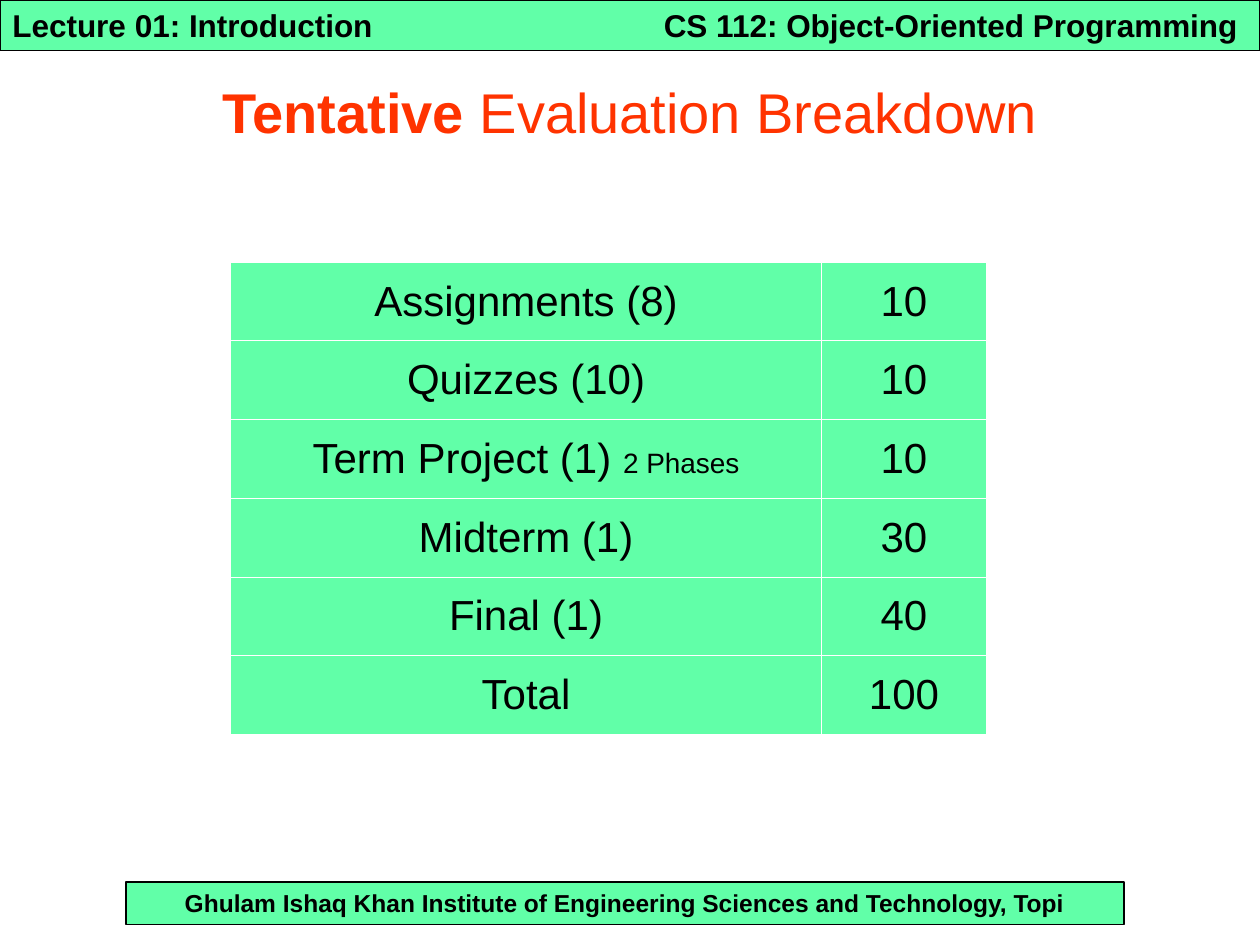
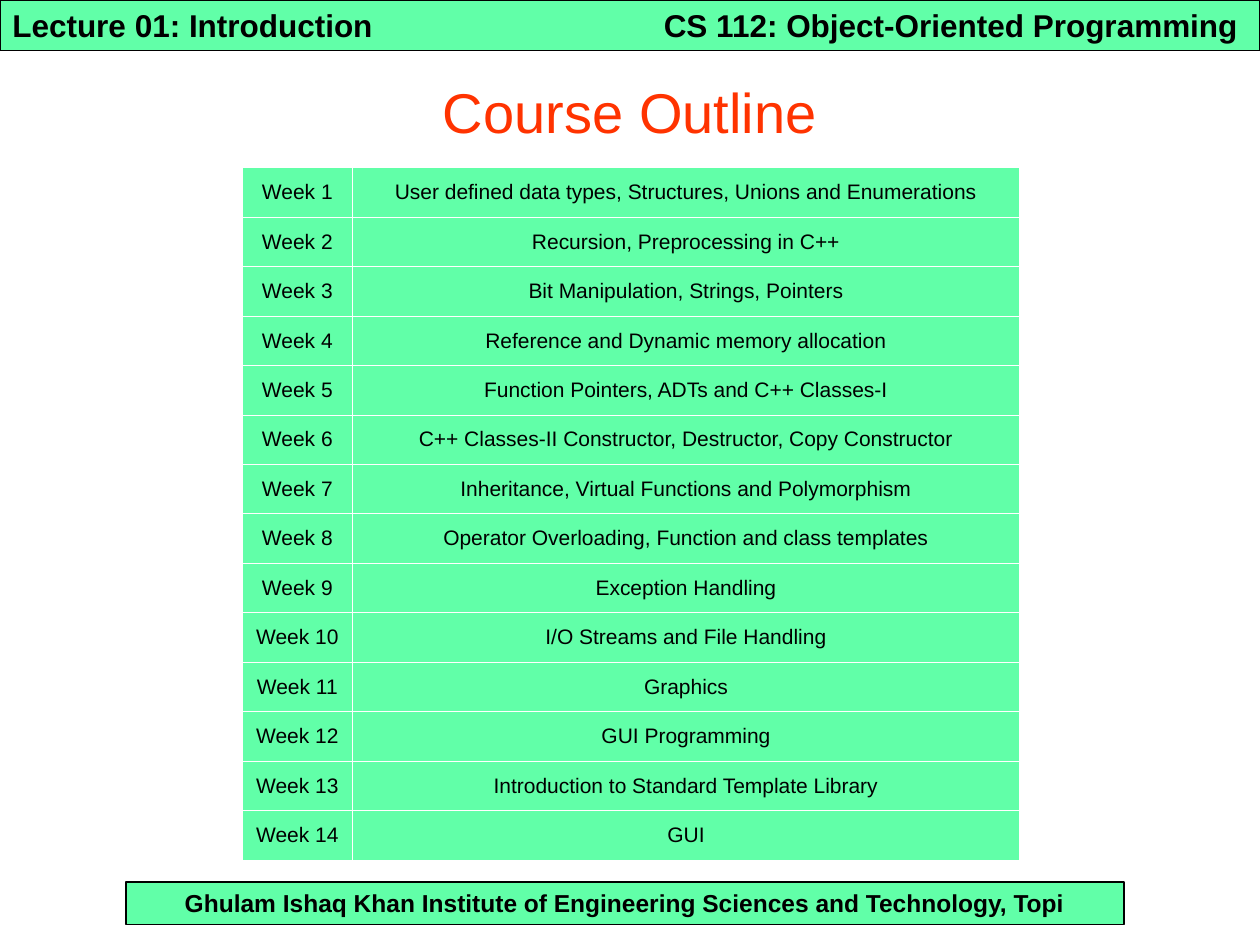
import pptx
import pptx.dml.color
import pptx.enum.shapes
import pptx.enum.text
import pptx.oxml
import pptx.oxml.ns
import pptx.util
from pptx.util import Inches

GREEN = pptx.dml.color.RGBColor(0x61, 0xFF, 0xA8)
RED = pptx.dml.color.RGBColor(0xFF, 0x33, 0x00)
BLACK = pptx.dml.color.RGBColor(0x00, 0x00, 0x00)
WHITE = pptx.dml.color.RGBColor(0xFF, 0xFF, 0xFF)
FONT = "Arial"
LEFT = pptx.enum.text.PP_ALIGN.LEFT
CENTER = pptx.enum.text.PP_ALIGN.CENTER
MIDDLE = pptx.enum.text.MSO_ANCHOR.MIDDLE
TITLE_ONLY = 5

# Shared bands: text, left, top, width, height, size, alignment, filled
BANDS = [
    ("Ghulam Ishaq Khan Institute of Engineering Sciences and Technology, Topi",
     1, 7, 7.92, 0.34, 14, CENTER, True),
    ("Lecture 01: Introduction", 0, 0, 10, 0.4, 18, LEFT, True),
    ("CS 112: Object-Oriented Programming", 5.17, 0, 4.83, 0.4, 18, LEFT, False),
]

# Slide contents; a cell is a list of (text, size) runs
EVALUATION = [
    ([("Assignments (8)", 24)], "10"),
    ([("Quizzes (10)", 24)], "10"),
    ([("Term Project (1) ", 24), ("2 Phases", 16)], "10"),
    ([("Midterm (1)", 24)], "30"),
    ([("Final (1)", 24)], "40"),
    ([("Total", 24)], "100"),
]
WEEK_TOPICS = [
    "User defined data types, Structures, Unions and Enumerations",
    "Recursion, Preprocessing in C++",
    "Bit Manipulation, Strings, Pointers",
    "Reference and Dynamic memory allocation",
    "Function Pointers, ADTs and C++ Classes-I",
    "C++ Classes-II Constructor, Destructor, Copy Constructor",
    "Inheritance, Virtual Functions and Polymorphism",
    "Operator Overloading, Function and class templates",
    "Exception Handling",
    "I/O Streams and File Handling",
    "Graphics",
    "GUI Programming",
    "Introduction to Standard Template Library",
    "GUI",
]
SLIDES = [
    {
        "title": [("Tentative", True), (" Evaluation Breakdown", False)],
        "rows": [[label, [(marks, 24)]] for label, marks in EVALUATION],
        "place": (1.83, 2.08, 6, 3.75),
        "columns": (4.69, 1.31),
    },
    {
        "title": [("Course Outline", False)],
        "rows": [[[(f"Week {week}", 12)], [(topic, 12)]]
                 for week, topic in enumerate(WEEK_TOPICS, 1)],
        "place": (1.92, 1.33, 6.17, 5.5),
        "columns": (0.88, 5.29),
    },
]


def add_run(paragraph, text, size, color=BLACK, bold=False):
    run = paragraph.add_run()
    run.text = text
    run.font.name = FONT
    run.font.size = pptx.util.Pt(size)
    run.font.bold = bold
    run.font.color.rgb = color


def add_borders(cell):
    for side in ("lnL", "lnR", "lnT", "lnB"):
        cell._tc.get_or_add_tcPr().append(pptx.oxml.parse_xml(
            f'<a:{side} {pptx.oxml.ns.nsdecls("a")} w="{pptx.util.Pt(0.45)}">'
            f'<a:solidFill><a:srgbClr val="{WHITE}"/></a:solidFill></a:{side}>'))


presentation = pptx.Presentation()
presentation.slide_width = Inches(10)
presentation.slide_height = Inches(7.5)

for content in SLIDES:
    slide = presentation.slides.add_slide(presentation.slide_layouts[TITLE_ONLY])

    # Header and footer bands
    for text, left, top, width, height, size, alignment, filled in BANDS:
        place = [Inches(length) for length in (left, top, width, height)]
        if filled:
            band = slide.shapes.add_shape(
                pptx.enum.shapes.MSO_SHAPE.RECTANGLE, *place)
            band.shadow.inherit = False
            band.fill.solid()
            band.fill.fore_color.rgb = GREEN
            band.line.color.rgb = BLACK
            band.line.width = pptx.util.Pt(0.75)
        else:
            band = slide.shapes.add_textbox(*place)
        band.text_frame.word_wrap = True
        band.text_frame.vertical_anchor = pptx.enum.text.MSO_ANCHOR.TOP
        paragraph = band.text_frame.paragraphs[0]
        paragraph.alignment = alignment
        add_run(paragraph, text, size, bold=True)

    # Title
    title = slide.shapes.title
    title.left, title.top = Inches(0), Inches(0.42)
    title.width, title.height = Inches(10), Inches(0.92)
    title.text_frame.vertical_anchor = MIDDLE
    paragraph = title.text_frame.paragraphs[0]
    paragraph.alignment = CENTER
    for text, bold in content["title"]:
        add_run(paragraph, text, 32, RED, bold)

    # Table with equal rows
    rows = content["rows"]
    place = [Inches(length) for length in content["place"]]
    table = slide.shapes.add_table(len(rows), 2, *place).table
    table.first_row = False
    table.horz_banding = False
    for column, width in zip(table.columns, content["columns"]):
        column.width = Inches(width)
    for table_row, row in zip(table.rows, rows):
        for cell, runs in zip(table_row.cells, row):
            add_borders(cell)
            cell.fill.solid()
            cell.fill.fore_color.rgb = GREEN
            cell.vertical_anchor = MIDDLE
            paragraph = cell.text_frame.paragraphs[0]
            paragraph.alignment = CENTER
            for text, size in runs:
                add_run(paragraph, text, size)

presentation.save("out.pptx")
